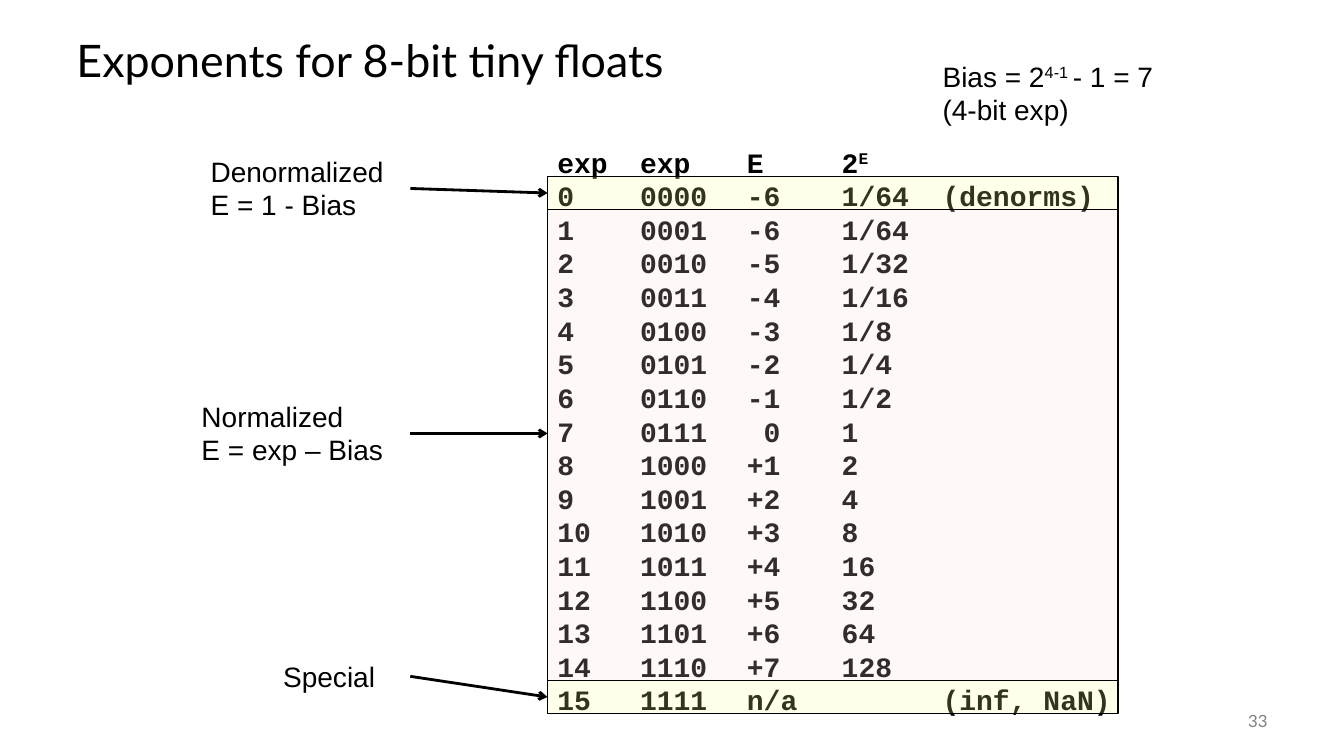
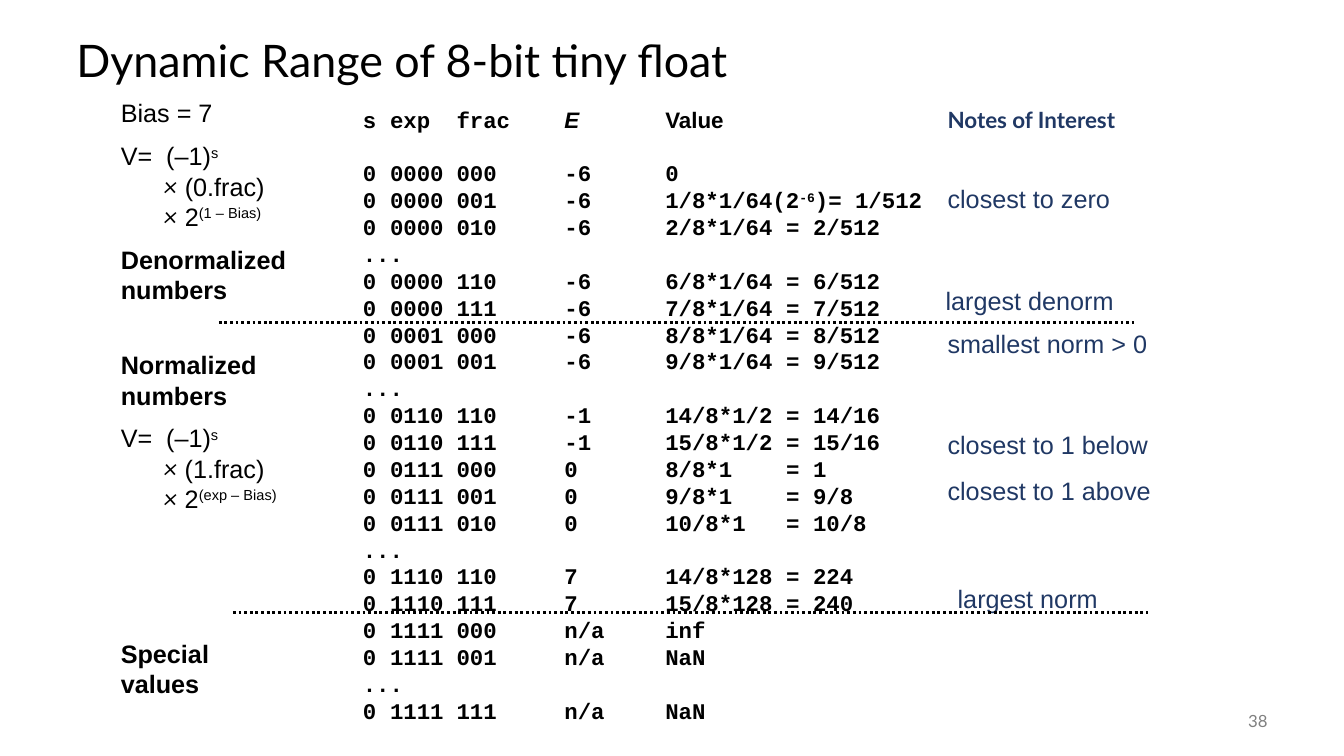
from dataclasses import dataclass

from lxml import etree
from pptx import Presentation
from pptx.dml.color import RGBColor as RGB
from pptx.enum.dml import MSO_LINE_DASH_STYLE as DASH
from pptx.enum.shapes import MSO_CONNECTOR as CONN, MSO_SHAPE as SHAPE
from pptx.enum.text import MSO_ANCHOR as ANCHOR, PP_ALIGN as ALIGN
from pptx.oxml.ns import qn
from pptx.util import Inches, Pt


@dataclass(frozen=True)
class Theme:
    ink: str = "000000"
    navy: str = "203864"
    grey: str = "808080"
    peach: str = "FBE5D6"
    yellow: str = "FFFF99"
    head: str = "Lato"
    body: str = "Arial"
    mono: str = "Courier New"
    title: int = 32
    large: int = 20
    medium: int = 18
    small: int = 16
    number: int = 12
    leading: float = 1.2


T = Theme()
SUP = {"sup": True}
TIMES = ("×", {"font": T.head, "italic": True})


class Deck:
    def __init__(self):
        self.prs = Presentation()
        self.prs.slide_width = Inches(13.33)
        self.prs.slide_height = Inches(7.5)

    def slide(self, title, number):
        self.s = self.prs.slides.add_slide(self.prs.slide_layouts[6])
        self.text(0.66, 0.25, 12, 0.75, [title], T.title, font=T.head,
                  anchor=ANCHOR.MIDDLE, spacing=0.9)
        self.text(11.67, 6.95, 1, 0.4, [str(number)], T.number, font=T.head,
                  color=T.grey, anchor=ANCHOR.MIDDLE, align=ALIGN.RIGHT)

    def text(self, x, y, w, h, paras, size, font=T.body, color=T.ink, bold=False,
             anchor=ANCHOR.TOP, align=ALIGN.LEFT, spacing=None, tabs=(),
             gaps=None, indents=()):
        tf = self.s.shapes.add_textbox(Inches(x), Inches(y), Inches(w), Inches(h)).text_frame
        tf.word_wrap = True
        tf.vertical_anchor = anchor
        for i, para in enumerate(paras):
            p = tf.add_paragraph() if i else tf.paragraphs[0]
            p.alignment = align
            p.line_spacing = spacing or Pt(size * T.leading)
            if gaps and i in gaps:
                p.space_before = Pt(gaps[i])
            pPr = p._p.get_or_add_pPr()
            if i in indents:
                pPr.set("marL", str(Inches(0.42)))
            if tabs:
                tab_list = etree.SubElement(pPr, qn("a:tabLst"))
                for pos in tabs:
                    etree.SubElement(tab_list, qn("a:tab"), pos=str(Inches(pos)), algn="l")
            for run in [para] if isinstance(para, str) else para:
                words, style = (run, {}) if isinstance(run, str) else run
                r = p.add_run()
                r.text = words
                r.font.size = Pt(size)
                r.font.name = style.get("font", font)
                r.font.bold = style.get("bold", bold)
                r.font.italic = style.get("italic", False)
                r.font.color.rgb = RGB.from_string(color)
                if style.get("sup"):
                    r._r.get_or_add_rPr().set("baseline", "30000")

    def band(self, y, h, color):
        sp = self.s.shapes.add_shape(SHAPE.RECTANGLE, Inches(5.43), Inches(y),
                                     Inches(5.66), Inches(h))
        sp.shadow.inherit = False
        sp.fill.solid()
        sp.fill.fore_color.rgb = RGB.from_string(color)
        clr = sp.fill._xPr.find(qn("a:solidFill"))[0]
        etree.SubElement(clr, qn("a:alpha"), val="20000")
        sp.line.color.rgb = RGB.from_string(T.ink)
        sp.line.width = Pt(1)
        return sp

    def line(self, x1, y1, x2, y2, dash=None, arrow=False, target=None):
        c = self.s.shapes.add_connector(CONN.STRAIGHT, Inches(x1), Inches(y1),
                                        Inches(x2), Inches(y2))
        c.line.color.rgb = RGB.from_string(T.ink)
        c.line.width = Pt(2)
        if dash:
            c.line.dash_style = dash
        if arrow:
            etree.SubElement(c.line._get_or_add_ln(), qn("a:tailEnd"), type="arrow")
        etree.SubElement(c._element.spPr, qn("a:effectLst"))
        if target is not None:
            c.end_connect(target, 1)


def exponent_slide(d):
    d.slide("Exponents for 8-bit tiny floats", 33)
    powers = ["1/64", "1/32", "1/16", "1/8", "1/4", "1/2"] + [str(2 ** e) for e in range(8)]
    rows = [["exp\texp\tE\t2", ("E", SUP)], "0\t0000\t-6\t1/64\t(denorms)"]
    for exp, power in enumerate(powers, 1):
        e = f"{exp - 7:+d}" if exp != 7 else " 0"
        rows.append(f"{exp}\t{exp:04b}\t{e}\t{power}")
    rows.append("15\t1111\tn/a\t\t(inf, NaN)")
    d.text(5.43, 1.39, 5.9, 5.82, rows, T.large, font=T.mono, bold=True,
           tabs=(0.82, 1.88, 2.82, 3.82))
    d.band(2.08, 4.67, T.peach)
    denorm = d.band(1.75, 0.33, T.yellow)
    special = d.band(6.75, 0.33, T.yellow)
    for x, y, w, h, lines in [
        (1.99, 1.48, 2.08, 0.77, ["Denormalized", "E = 1 - Bias"]),
        (1.9, 3.91, 2.17, 0.77, ["Normalized", "E = exp – Bias"]),
        (2.71, 6.49, 1.36, 0.44, ["Special"]),
        (9.25, 0.54, 2.42, 0.77, [["Bias = 2", ("4-1 ", SUP), "- 1 = 7"], "(4-bit exp)"]),
    ]:
        d.text(x, y, w, h, lines, T.large)
    for y1, y2, target in [(1.87, 1.92, denorm), (4.3, 4.3, None), (6.71, 6.92, special)]:
        d.line(4.07, y1, 5.43, y2, arrow=True, target=target)


def formula(lead, power):
    return [["V=\t(–1)", ("s", SUP)], [TIMES, f" ({lead}.frac)"], [TIMES, " 2", (power, SUP)]]


def range_slide(d):
    d.slide("Dynamic Range of 8-bit tiny float", 38)
    rows = [
        ["s\texp\tfrac\t", ("E", {"font": T.body, "italic": True}),
         ("\tValue", {"font": T.body})],
        "0\t0000\t000\t-6\t0",
        ["0\t0000\t001\t-6\t1/8*1/64(2", ("-6", SUP), ")= 1/512"],
        "0\t0000\t010\t-6\t2/8*1/64\t= 2/512",
        "...",
        "0\t0000\t110\t-6\t6/8*1/64\t= 6/512",
        "0\t0000\t111\t-6\t7/8*1/64\t= 7/512",
        "0\t0001\t000\t-6\t8/8*1/64\t= 8/512",
        "0\t0001\t001\t-6\t9/8*1/64\t= 9/512",
        "...",
        "0\t0110\t110\t-1\t14/8*1/2\t= 14/16",
        "0\t0110\t111\t-1\t15/8*1/2\t= 15/16",
        "0\t0111\t000\t0\t8/8*1\t= 1",
        "0\t0111\t001\t0\t9/8*1\t= 9/8",
        "0\t0111\t010\t0\t10/8*1\t= 10/8",
        "...",
        "0\t1110\t110\t7\t14/8*128\t= 224",
        "0\t1110\t111\t7\t15/8*128\t= 240",
        "0\t1111\t000\tn/a\tinf",
        "0\t1111\t001\tn/a\tNaN",
        "...",
        "0\t1111\t111\tn/a\tNaN",
    ]
    d.text(3.5, 1, 6, 6.29, rows, T.small, font=T.mono, bold=True,
           tabs=(0.27, 0.93, 2, 3, 4.2), gaps={1: T.small * T.leading})

    half = T.medium / 2
    strong = {"bold": True}
    d.text(1.1, 0.92, 1.98, 2.22,
           ["Bias = 7", *formula(0, "(1 – Bias)"),
            [("Denormalized", strong)], [("numbers", strong)]],
           T.medium, tabs=(0.45,), gaps={1: half, 4: half}, indents=(2, 3))
    d.text(1.1, 3.42, 2.57, 1.77,
           [[("Normalized", strong)], [("numbers", strong)], *formula(1, "(exp – Bias)")],
           T.medium, tabs=(0.45,), gaps={2: half}, indents=(3, 4))
    d.text(1.1, 6.28, 2.57, 0.71, ["Special", "values"], T.medium, bold=True)

    d.text(9.3, 1, 2.46, 0.37, ["Notes of Interest"], T.small, font=T.head,
           color=T.navy, bold=True)
    for x, y, note in [
        (9.3, 1.77, "closest to zero"),
        (9.28, 2.78, "largest denorm"),
        (9.3, 3.21, "smallest norm > 0"),
        (9.3, 4.21, "closest to 1 below"),
        (9.3, 4.67, "closest to 1 above"),
        (9.4, 5.74, "largest norm"),
    ]:
        d.text(x, y, 2.46, 0.4, [note], T.medium, color=T.navy)
    for x, y in [(2.17, 3.2), (2.31, 6.08)]:
        d.line(x, y, x + 9.08, y, dash=DASH.ROUND_DOT)


def main():
    d = Deck()
    exponent_slide(d)
    range_slide(d)
    d.prs.save("out.pptx")


if __name__ == "__main__":
    main()
